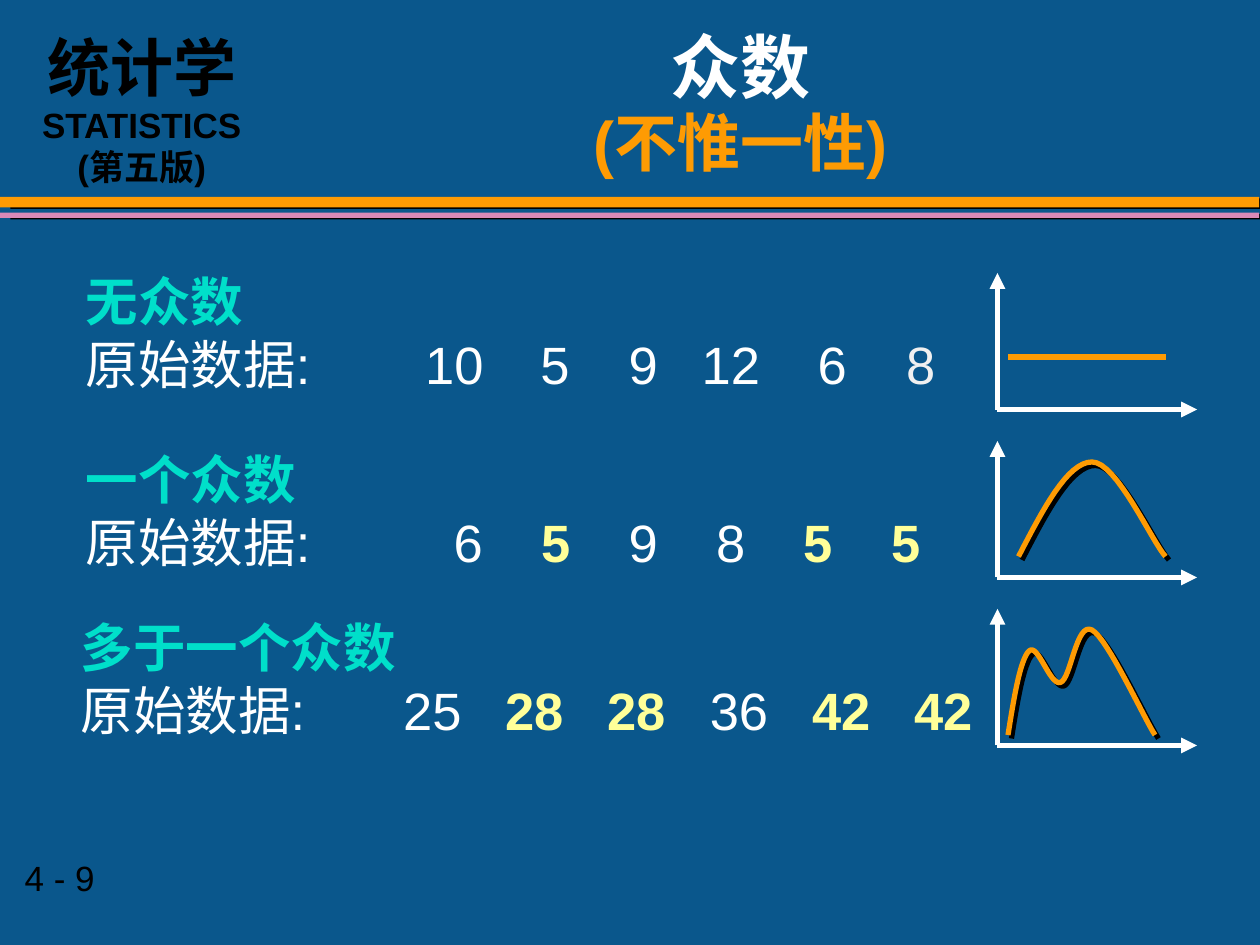
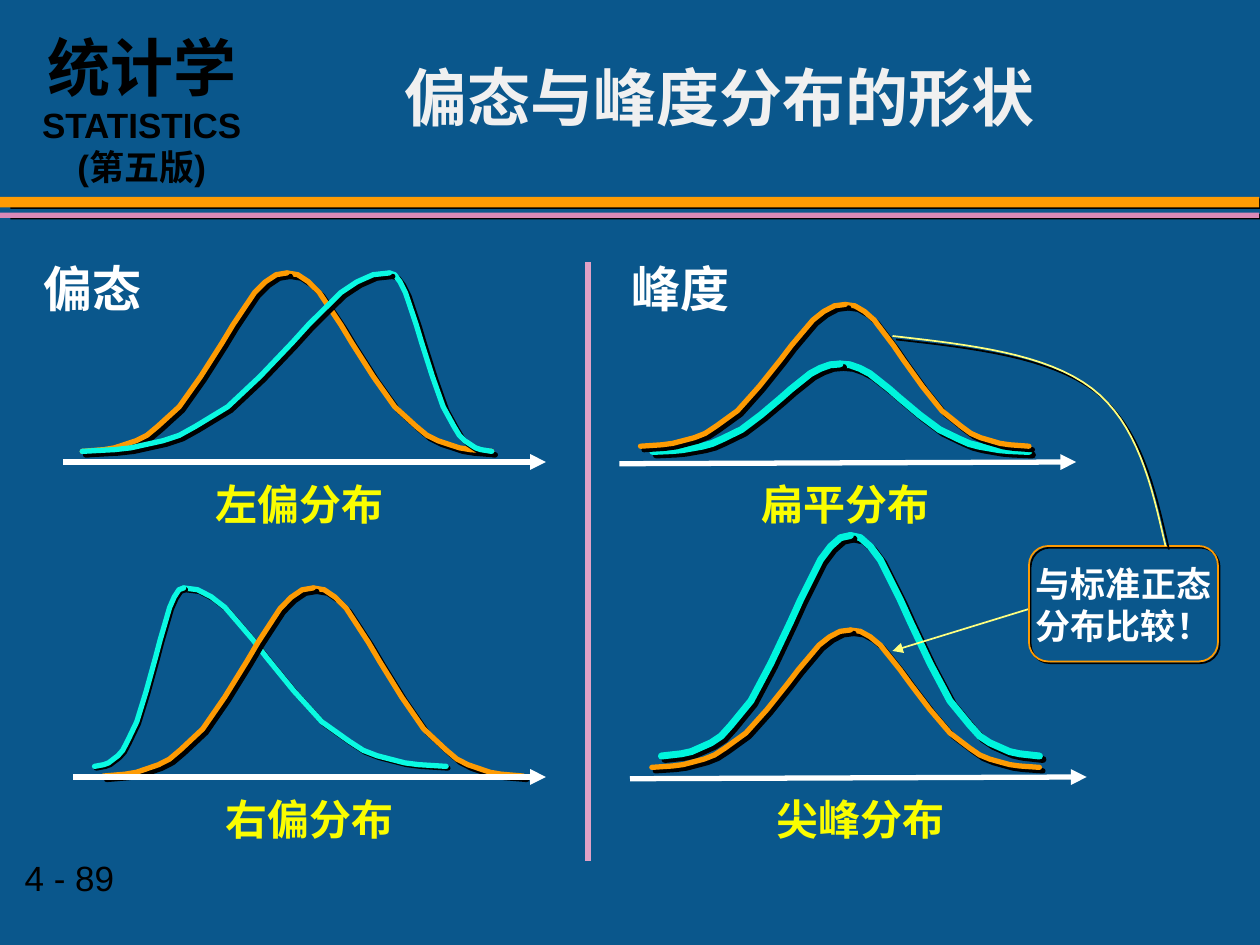
from lxml import etree
from pptx import Presentation
from pptx.dml.color import RGBColor
from pptx.enum.lang import MSO_LANGUAGE_ID
from pptx.enum.shapes import MSO_CONNECTOR, MSO_SHAPE
from pptx.enum.text import MSO_ANCHOR, PP_ALIGN
from pptx.oxml.ns import qn
from pptx.util import Pt

CENTER, LEFT = PP_ALIGN.CENTER, PP_ALIGN.LEFT
TOP, MIDDLE = MSO_ANCHOR.TOP, MSO_ANCHOR.MIDDLE
RECTANGLE = MSO_SHAPE.RECTANGLE
CALLOUT = MSO_SHAPE.FLOWCHART_ALTERNATE_PROCESS
STRAIGHT = MSO_CONNECTOR.STRAIGHT
CHINESE = MSO_LANGUAGE_ID.SIMPLIFIED_CHINESE

COLORS = {
    "background": "0A578C",
    "black": "000000",
    "white": "FFFFFF",
    "soft_white": "F0F0F0",
    "orange": "FE9B03",
    "pink": "D989B8",
    "divider": "E1A1C6",
    "heading": "00DFCA",
    "mode": "FFFF99",
    "label": "FAFD00",
    "skewed": "0BF9E2",
    "peaked": "00F4DD",
    "pointer": "FFFF7F",
}
BODY_FONT, TITLE_FONT = "Arial", "TeX Gyre Pagella"
CURVE_SHADOW, FINE_SHADOW, BAND_SHADOW = (2.8, 45), (1.4, 45), (6.1, 9)

# Half of a bell, from foot to peak: steps of 1/19 of the width, share of the height
BELL_STEPS = (0, 2, 3, 4, 5, 6, 7, 9, 11, 13, 14, 15, 16, 17, 18, 19)
BELL_HEIGHTS = (0, 0.01, 0.02, 0.04, 0.06, 0.09, 0.14, 0.25,
                0.42, 0.61, 0.71, 0.8, 0.89, 0.95, 0.99, 1)


def color(name):
    return RGBColor.from_string(COLORS[name])


def bezier_points(start, segments, steps=16):
    """Points along joined cubic curves; a segment is two controls and an end."""
    points = [start]
    for first, second, end in segments:
        for step in range(1, steps + 1):
            t = step / steps
            weights = ((1 - t) ** 3, 3 * t * (1 - t) ** 2, 3 * t * t * (1 - t), t ** 3)
            corners = (start, first, second, end)
            points.append(tuple(sum(weight * corner[axis] for weight, corner
                                    in zip(weights, corners)) for axis in (0, 1)))
        start = end
    return points


class Deck:
    def __init__(self):
        self.presentation = Presentation()
        self.presentation.slide_width = Pt(720)
        self.presentation.slide_height = Pt(540)
        self.slide = None

    def new_slide(self, number, title_box, title_lines):
        layout = self.presentation.slide_layouts[6]
        self.slide = self.presentation.slides.add_slide(layout)
        fill = self.slide.background.fill
        fill.solid()
        fill.fore_color.rgb = color("background")
        self.band(112.5, 6, "orange")
        self.band(121.5, 3, "pink")
        self.text((7, 486, 135, 31), [[(f"4 - {number}", 20, "black", False)]])
        self.text((12, 8, 138, 103), [
            [("统计学", 36, "black", True), ("STATISTICS", 20, "black", True)],
            [("(第五版)", 20, "black", True)],
        ], align=CENTER, top_inset=8.2)
        self.text(title_box, title_lines, align=CENTER, anchor=MIDDLE, spacing=0.95)

    def shadow(self, shape, shadow=None):
        """Replace the theme shadow by a hard black one (distance, angle), or none."""
        effects = etree.SubElement(shape._element.spPr, qn("a:effectLst"))
        if shadow:
            distance, angle = shadow
            outer = etree.SubElement(effects, qn("a:outerShdw"), blurRad="0",
                                     dist=str(Pt(distance)), dir=str(angle * 60000),
                                     algn="ctr", rotWithShape="0")
            etree.SubElement(outer, qn("a:srgbClr"), val=COLORS["black"])

    def stroke(self, shape, line_color, width):
        shape.line.color.rgb = color(line_color)
        shape.line.width = Pt(width)
        return shape._element.spPr.find(qn("a:ln"))

    def band(self, top, height, fill_color):
        shape = self.slide.shapes.add_shape(RECTANGLE, 0, Pt(top), Pt(719.5), Pt(height))
        shape.fill.solid()
        shape.fill.fore_color.rgb = color(fill_color)
        shape.line.fill.background()
        self.shadow(shape, BAND_SHADOW)

    def text(self, box, lines, align=LEFT, anchor=TOP, spacing=None, tabs=(),
             top_inset=3.6):
        """Each line is a list of runs: text, size, colour, bold and maybe a font."""
        shape = self.slide.shapes.add_textbox(*map(Pt, box))
        frame = shape.text_frame
        frame_format = {"word_wrap": True, "vertical_anchor": anchor,
                        "margin_left": Pt(7.2), "margin_right": Pt(7.2),
                        "margin_top": Pt(top_inset), "margin_bottom": Pt(3.6)}
        for name, value in frame_format.items():
            setattr(frame, name, value)
        for index, runs in enumerate(lines):
            paragraph = frame.add_paragraph() if index else frame.paragraphs[0]
            paragraph.alignment = align
            paragraph.line_spacing = spacing
            if tabs:
                tab_list = etree.SubElement(paragraph._p.get_or_add_pPr(), qn("a:tabLst"))
                for position in tabs:
                    etree.SubElement(tab_list, qn("a:tab"), pos=str(Pt(position)), algn="ctr")
            for words, size, text_color, bold, *font in runs:
                run = paragraph.add_run()
                run.text = words
                run.font.color.rgb = color(text_color)
                run_format = {"name": font[0] if font else BODY_FONT, "size": Pt(size),
                              "bold": bold, "language_id": CHINESE}
                for name, value in run_format.items():
                    setattr(run.font, name, value)

    def line(self, start, end, line_color="white", width=3, arrow=False):
        connector = self.slide.shapes.add_connector(STRAIGHT, *map(Pt, start + end))
        outline = self.stroke(connector, line_color, width)
        if arrow:
            etree.SubElement(outline, qn("a:tailEnd"), type="triangle")
        self.shadow(connector)

    def curve(self, points, line_color="orange", width=3, shadow=CURVE_SHADOW, cap="flat"):
        first, *rest = [(Pt(x), Pt(y)) for x, y in points]
        builder = self.slide.shapes.build_freeform(*first)
        builder.add_line_segments(rest, close=False)
        shape = builder.convert_to_shape()
        shape.fill.background()
        self.stroke(shape, line_color, width).set("cap", cap)
        self.shadow(shape, shadow)

    def bell(self, feet, base, peak, line_color, width=3, shadow=CURVE_SHADOW):
        peak_x, peak_y = peak
        for foot in feet:
            points = [(foot + (peak_x - foot) * step / 19, base + (peak_y - base) * height)
                      for step, height in zip(BELL_STEPS, BELL_HEIGHTS)]
            self.curve(points, line_color, width, shadow, cap="rnd")

    def outlined_box(self, box, line_color, width):
        shape = self.slide.shapes.add_shape(CALLOUT, *map(Pt, box))
        shape.fill.background()
        self.stroke(shape, line_color, width)
        self.shadow(shape, FINE_SHADOW)


def build_mode_slide(deck):
    deck.new_slide(9, (156, 18, 534, 84), [
        [("众数", 40, "white", True, TITLE_FONT)],
        [("(不惟一性)", 36, "orange", True)],
    ])
    # Heading, box, tab stops, values, modes
    rows = [
        ("无众数", (42, 150, 516, 90), (210.5, 268, 318.5, 368.5, 426.5, 477),
         (10, 5, 9, 12, 6, 8), ()),
        ("一个众数", (42, 252, 510, 79), [218.5 + 50 * i for i in range(6)],
         (6, 5, 9, 8, 5, 5), (5,)),
        ("多于一个众数", (39, 348, 540, 79), [201 + 58.4 * i for i in range(6)],
         (25, 28, 28, 36, 42, 42), (28, 42)),
    ]
    for heading, box, tabs, values, modes in rows:
        data = [("原始数据:", 30, "white", False)]
        for value in values:
            is_mode = value in modes
            data.append((f"\t{value}", 30, "mode" if is_mode else "white", is_mode))
        if not modes:
            data[-1] = (f"\t{values[-1]}", 30, "soft_white", False)
        deck.text(box, [[(heading, 30, "heading", True)], data], tabs=tabs)

    for base in (234, 330, 426):
        deck.line((570, base), (570, base - 78), arrow=True)
        deck.line((570, base), (684, base), arrow=True)
    deck.line((576, 204), (666, 204), "orange")
    deck.curve(bezier_points((582, 318), [
        ((596, 291), (610, 264), (624, 264)),
        ((638, 264), (658, 309), (666, 318)),
    ]))
    deck.curve(bezier_points((576, 420), [
        ((579.5, 398), (583, 377), (588, 372)),
        ((593, 367), (600, 392), (606, 390)),
        ((612, 388), (615, 355), (624, 360)),
        ((633, 365), (653, 409), (660, 420)),
    ]))


def build_shape_slide(deck):
    deck.new_slide(89, (132, 12, 558, 90),
                   [[("偏态与峰度分布的形状", 36, "soft_white", True, TITLE_FONT)]])
    for heading, left in (("偏态", 18), ("峰度", 354)):
        deck.text((left, 144, 96, 40), [[(heading, 28, "white", True)]])

    deck.bell((281, 47), 258, (164, 156), "orange")
    deck.bell((281, 47), 258, (222.5, 156), "skewed")
    deck.bell((588, 373), 258, (480, 208), "peaked", 4)
    deck.bell((588, 366), 255, (483, 174), "orange")
    deck.bell((255, 54), 438, (105, 336), "skewed", shadow=FINE_SHADOW)
    deck.bell((299, 59), 443.5, (179, 336), "orange")
    deck.bell((594, 378), 432, (486, 306), "peaked", 4)
    deck.bell((594, 372.5), 438.5, (486, 360), "orange")

    # Axis start, axis end, label, label left, label width
    panels = [
        ((36, 264), (312, 264), "左偏分布", 114, 114),
        ((354, 265), (615, 264), "扁平分布", 420, 126),
        ((42, 444), (312, 444), "右偏分布", 120, 114),
        ((360, 445), (621, 444), "尖峰分布", 420, 144),
    ]
    for start, end, label, left, width in panels:
        deck.line(start, end, arrow=True)
        deck.text((left, end[1] + 6, width, 36), [[(label, 24, "label", True)]], align=CENTER)
    deck.line((336, 150), (336, 492), "divider")

    deck.text((582, 318, 120, 55), [[("与标准正态分布比较！", 20, "white", True)]], align=CENTER)
    deck.line((588, 348), (510, 372), "pointer", 1, arrow=True)
    deck.outlined_box((588, 312, 108, 66), "orange", 1)
    deck.curve(bezier_points((666, 312), [
        ((658, 277), (650, 242), (624, 222)),
        ((598, 202), (554, 197), (510, 192)),
    ]), "pointer", 1)


def main():
    deck = Deck()
    build_mode_slide(deck)
    build_shape_slide(deck)
    deck.presentation.save("out.pptx")


if __name__ == "__main__":
    main()
